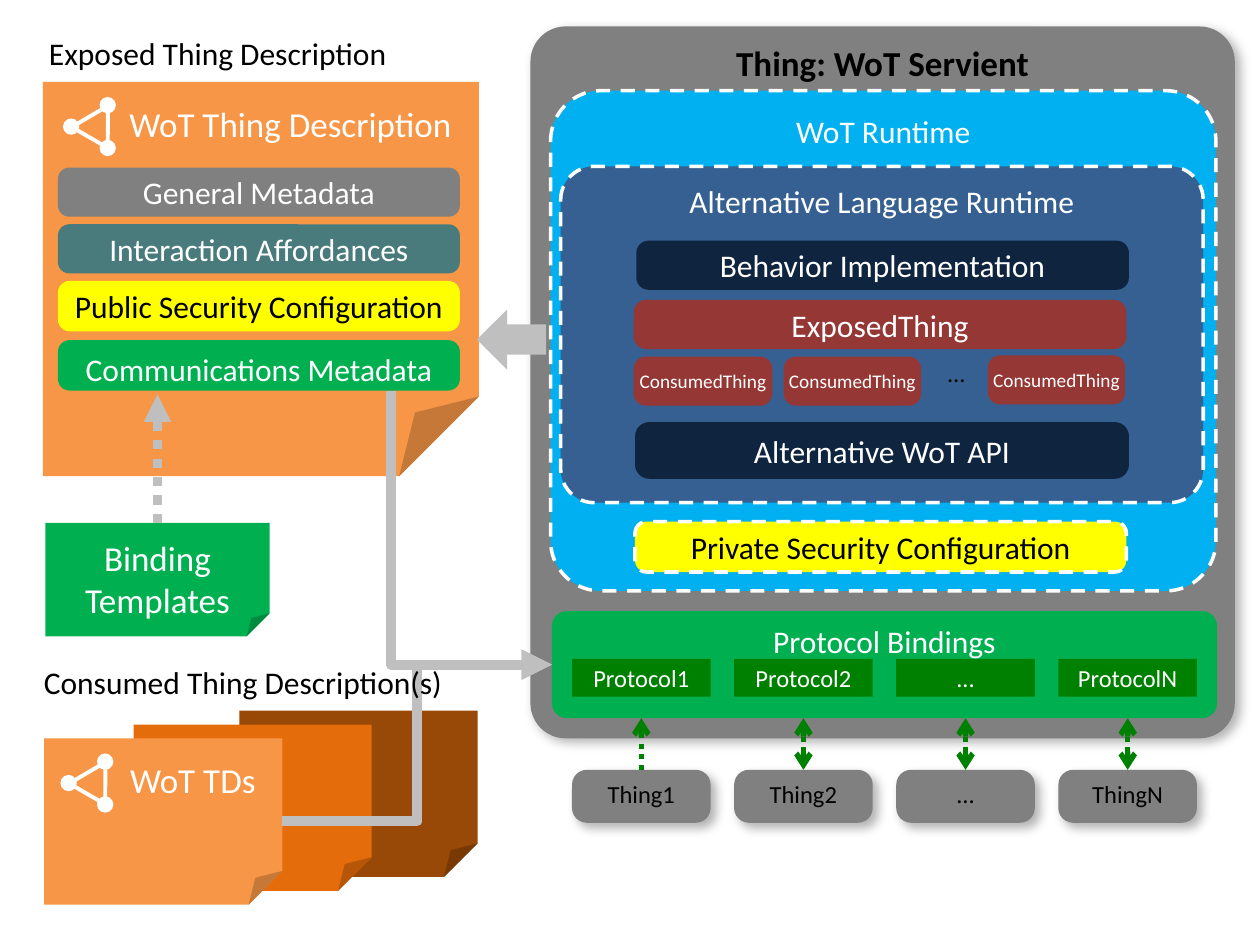
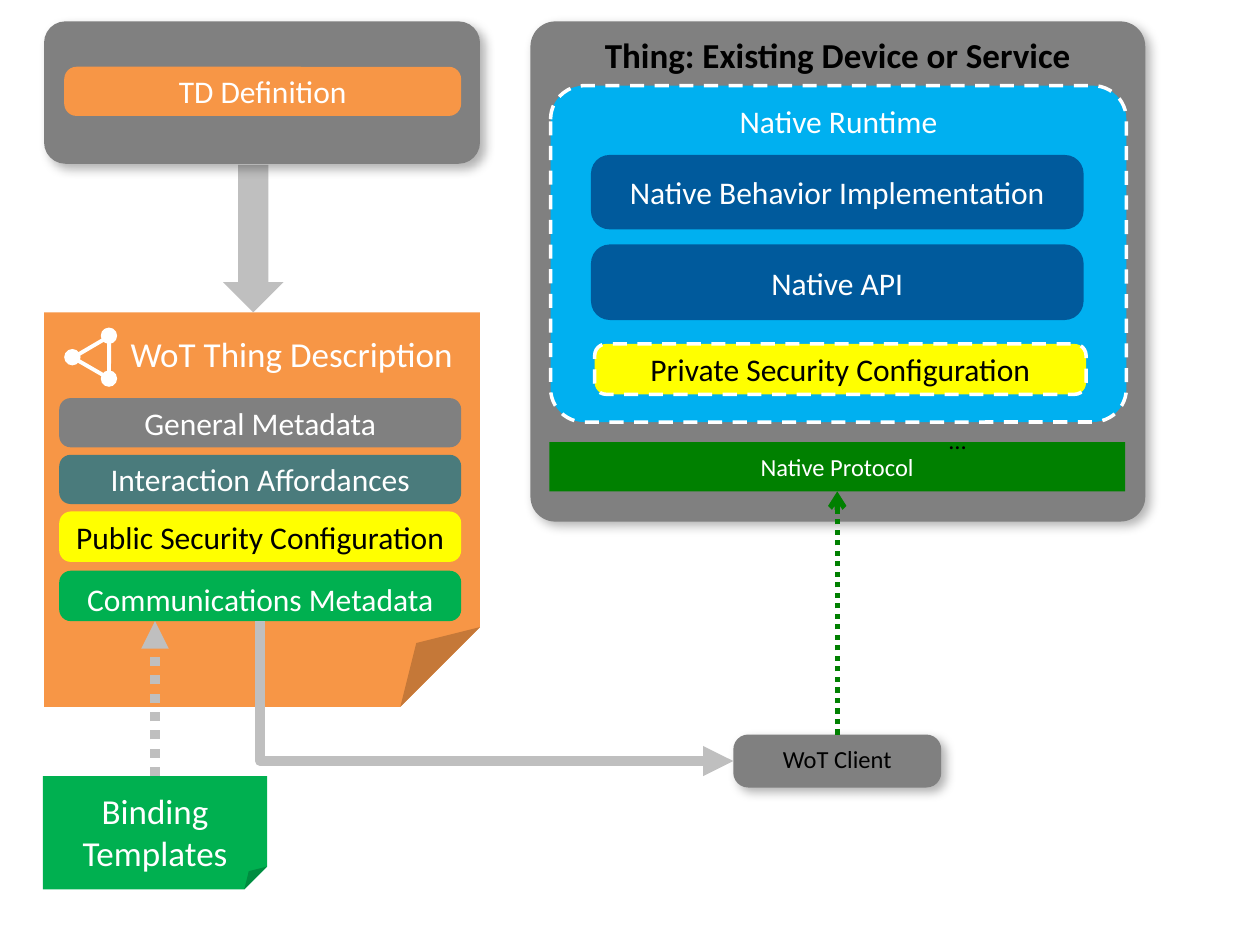
from dataclasses import dataclass

from lxml import etree
from pptx import Presentation
from pptx import util as u
from pptx.dml.color import RGBColor
from pptx.enum import dml, shapes, text
from pptx.oxml.ns import qn


@dataclass(frozen=True)
class Theme:
    font: str = "Calibri"
    title: float = 20
    body: float = 18
    label: float = 14
    small: float = 11
    black: str = "000000"
    white: str = "FFFFFF"
    gray: str = "808080"
    arrow: str = "BFBFBF"
    sky: str = "00B0F0"
    navy: str = "0F243E"
    steel: str = "376092"
    blue: str = "005A9C"
    red: str = "953735"
    green: str = "00B050"
    protocol: str = "008000"
    teal: str = "4A7B7C"
    yellow: str = "FFFF00"
    orange: str = "F79646"
    dark_orange: str = "E46C0A"
    brown: str = "984807"


THEME = Theme()
KIND = shapes.MSO_SHAPE
ANCHOR = text.MSO_ANCHOR

# Content: text, fill, text colour, offset from the top of the description, height, anchor
DESCRIPTION_PARTS = [
    ("General Metadata", THEME.gray, THEME.white, 0.68, 0.39, ANCHOR.MIDDLE),
    ("Interaction Affordances", THEME.teal, THEME.white, 1.13, 0.39, ANCHOR.MIDDLE),
    ("Public Security Configuration", THEME.yellow, THEME.black, 1.58, 0.40, ANCHOR.MIDDLE),
    ("Communications Metadata", THEME.green, THEME.white, 2.05, 0.40, ANCHOR.TOP),
]
# Protocol, thing, whether the exchange goes both ways
PROTOCOLS = [
    ("Protocol1", "Thing1", False),
    ("Protocol2", "Thing2", True),
    ("...", "…", True),
    ("ProtocolN", "ThingN", True),
]
# Text, fill, box, type size
SERVIENT_BARS = [
    ("Behavior Implementation", THEME.navy, (5.05, 1.91, 3.91, 0.39), THEME.body),
    ("ExposedThing", THEME.red, (5.03, 2.38, 3.91, 0.39), THEME.body),
    ("ConsumedThing", THEME.red, (5.03, 2.83, 1.10, 0.39), THEME.small),
    ("ConsumedThing", THEME.red, (6.22, 2.83, 1.09, 0.39), THEME.small),
    ("ConsumedThing", THEME.red, (7.84, 2.82, 1.09, 0.39), THEME.small),
    ("Alternative WoT API", THEME.navy, (5.04, 3.35, 3.92, 0.45), THEME.body),
]
CONSUMED_PAGES = [(1.90, 5.64, THEME.brown), (1.06, 5.75, THEME.dark_orange)]

DEFAULT_INSET = (0.1, 0.05, 0.1, 0.05)
PANEL_INSET = (0.1, 0.04, 0.1, 0.08)
PAGE_INSET = (0.47, 0.16, 0, 0)


def inches(values):
    return [u.Inches(value) for value in values]


def write_text(shape, content, size=THEME.body, color=THEME.white, bold=False,
               align=text.PP_ALIGN.CENTER, anchor=ANCHOR.MIDDLE, inset=DEFAULT_INSET):
    frame = shape.text_frame
    frame.word_wrap = False
    frame.vertical_anchor = anchor
    (frame.margin_left, frame.margin_top,
     frame.margin_right, frame.margin_bottom) = inches(inset)
    paragraph = frame.paragraphs[0]
    paragraph.text = content
    paragraph.alignment = align
    for run in paragraph.runs:
        run.font.name = THEME.font
        run.font.size = u.Pt(size)
        run.font.bold = bold
        run.font.color.rgb = RGBColor.from_string(color)


def add_shadow(shape):
    effects = shape.element.spPr.find(qn("a:effectLst"))
    outer = etree.SubElement(effects, qn("a:outerShdw"), blurRad=str(u.Pt(6)),
                             dist=str(u.Pt(4)), dir="2700000", algn="tl", rotWithShape="0")
    color = etree.SubElement(outer, qn("a:srgbClr"), val=THEME.black)
    etree.SubElement(color, qn("a:alpha"), val="30000")


def style_line(line, color, width, dash=None):
    line.color.rgb = RGBColor.from_string(color)
    line.width = u.Pt(width)
    if dash:
        line.dash_style = dash


def add_block(parent, kind, box, fill=None, content="", adjust=None, rotation=0,
              outline=None, dash=None, shadow=False, **format):
    shape = parent.shapes.add_shape(kind, *inches(box))
    shape.shadow.inherit = False
    shape.rotation = rotation
    if adjust is not None:
        shape.adjustments[0] = adjust
    if fill:
        shape.fill.solid()
        shape.fill.fore_color.rgb = RGBColor.from_string(fill)
    else:
        shape.fill.background()
    if outline:
        style_line(shape.line, THEME.white, outline, dash)
    else:
        shape.line.fill.background()
    if shadow:
        add_shadow(shape)
    if content:
        write_text(shape, content, **format)
    return shape


def add_bar(slide, content, fill, box, adjust=0.25, **format):
    return add_block(slide, KIND.ROUNDED_RECTANGLE, box, fill, content, adjust, **format)


def add_panel(slide, box, content="", adjust=0.05, **format):
    """Gray rounded panel with a shadow."""
    return add_bar(slide, content, THEME.gray, box, adjust, shadow=True,
                   color=THEME.black, inset=PANEL_INSET, **format)


def add_dashed(slide, content, fill, box, adjust=0.1, **format):
    return add_bar(slide, content, fill, box, adjust, outline=2,
                   dash=dml.MSO_LINE.DASH, **format)


def add_page(slide, box, fill, content="", **format):
    """Page with a folded corner, whose size python-pptx does not expose."""
    page = add_block(slide, KIND.FOLDED_CORNER, box, fill, content,
                     size=THEME.title, **format)
    geometry = page.element.spPr.find(qn("a:prstGeom"))
    guides = geometry.find(qn("a:avLst"))
    if guides is None:
        guides = etree.SubElement(geometry, qn("a:avLst"))
    etree.SubElement(guides, qn("a:gd"), name="adj", fmla="val 20200")
    return page


def add_ellipsis(slide, left, top):
    add_block(slide, KIND.ROUNDED_RECTANGLE, (left, top, 0.38, 0.42), content="…",
              size=THEME.label, color=THEME.black, inset=PANEL_INSET)


def add_arrow(slide, start, end, color=THEME.arrow, width=5.75, dash=None, head=None,
              tail="triangle", begin=None, finish=None, kind=shapes.MSO_CONNECTOR.STRAIGHT):
    """begin and finish are (shape, connection site) pairs to join."""
    connector = slide.shapes.add_connector(kind, *inches(start + end))
    if begin:
        connector.begin_connect(*begin)
    if finish:
        connector.end_connect(*finish)
    style_line(connector.line, color, width, dash)
    properties = connector._element.spPr
    outline = properties.find(qn("a:ln"))
    for tag, style in (("a:headEnd", head), ("a:tailEnd", tail)):
        if style:
            etree.SubElement(outline, qn(tag), type=style)
    etree.SubElement(properties, qn("a:effectLst"))
    return connector


def add_corner_arrow(slide, start, end, **format):
    """Arrow that runs down, then turns right once."""
    connector = add_arrow(slide, start, end, kind=shapes.MSO_CONNECTOR.ELBOW, **format)
    left, top, across, down = connector.left, connector.top, connector.width, connector.height
    connector.left = left + (across - down) // 2
    connector.top = top + (down - across) // 2
    connector.width, connector.height = down, across
    properties = connector._element.spPr
    frame = properties.find(qn("a:xfrm"))
    frame.set("rot", "16200000")
    frame.set("flipH", "1")
    properties.find(qn("a:prstGeom")).set("prst", "bentConnector2")


def add_protocol_arrow(slide, thing, start, end, both_ways=False, **format):
    add_arrow(slide, start, end, THEME.protocol, 3, dml.MSO_LINE.ROUND_DOT,
              head="arrow" if both_ways else None, tail="arrow", begin=(thing, 0), **format)


def add_share_icon(slide, left, top):
    group = slide.shapes.add_group_shape()
    add_block(group, KIND.ISOSCELES_TRIANGLE, (left + 0.12, top + 0.05, 0.33, 0.29),
              rotation=30, outline=2.25)
    for across, down in ((0.29, 0), (0, 0.17), (0.29, 0.34)):
        add_block(group, KIND.OVAL, (left + across, top + down, 0.13, 0.13), THEME.white)


def add_titled_page(slide, box, content, icon_offset):
    page = add_page(slide, box, THEME.orange, content, anchor=ANCHOR.TOP, inset=PAGE_INSET)
    add_share_icon(slide, box[0] + icon_offset, box[1] + 0.12)
    return page


def add_thing_description(slide, left, top):
    """Returns the communications bar, which is the last one."""
    add_titled_page(slide, (left, top, 3.46, 3.13), "WoT Thing Description", 0.16)
    for content, fill, color, offset, height, anchor in DESCRIPTION_PARTS:
        bar = add_bar(slide, content, fill, (left + 0.12, top + offset, 3.19, height),
                      0.23, color=color, anchor=anchor)
    return bar


def add_binding_templates(slide, left, top, target_top):
    page = add_page(slide, (left, top, 1.78, 0.9), THEME.green, "Binding\vTemplates",
                    inset=(0, 0.16, 0, 0))
    middle = left + 0.89
    add_arrow(slide, (middle, top), (middle, target_top), width=5.25,
              dash=dml.MSO_LINE.ROUND_DOT, begin=(page, 0))


def add_runtime_panel(slide, panel_box, title, runtime_box, runtime):
    add_panel(slide, panel_box, title, size=THEME.title, bold=True, anchor=ANCHOR.TOP)
    add_dashed(slide, runtime, THEME.sky, runtime_box, anchor=ANCHOR.TOP)


def add_private_security(slide, left, top):
    add_dashed(slide, "Private Security Configuration", THEME.yellow,
               (left, top, 3.9, 0.4), 0.23, color=THEME.black)


def add_caption(slide, content, box):
    caption = slide.shapes.add_textbox(*inches(box))
    write_text(caption, content, color=THEME.black, align=text.PP_ALIGN.LEFT,
               anchor=ANCHOR.TOP)
    caption.text_frame.auto_size = text.MSO_AUTO_SIZE.SHAPE_TO_FIT_TEXT


def add_protocol_bindings(slide):
    bindings = add_bar(slide, "Protocol Bindings", THEME.green, (4.38, 4.85, 5.28, 0.85),
                       0.14, anchor=ANCHOR.TOP)
    first, last, width = 4.54, 8.40, 1.1
    pitch = (last - first) / (len(PROTOCOLS) - 1)
    for index, (protocol, thing_name, both_ways) in enumerate(PROTOCOLS):
        left = first + index * pitch
        middle = left + width / 2
        add_block(slide, KIND.RECTANGLE, (left, 5.23, width, 0.3), THEME.protocol,
                  protocol, size=THEME.label)
        thing = add_panel(slide, (left, 6.11, width, 0.42), thing_name, 0.28,
                          size=THEME.label)
        add_protocol_arrow(slide, thing, (middle, 6.11), (middle, 5.7), both_ways)
    return bindings


def build_servient(slide):
    add_runtime_panel(slide, (4.21, 0.21, 5.59, 5.65), "Thing: WoT Servient",
                      (4.37, 0.72, 5.28, 3.97), "WoT Runtime")
    bindings = add_protocol_bindings(slide)
    for left, top, fill in CONSUMED_PAGES:
        add_page(slide, (left, top, 1.89, 1.32), fill)
    consumed = add_titled_page(slide, (0.35, 5.86, 1.89, 1.32), "WoT TDs", 0.13)
    add_arrow(slide, (2.24, 6.52), (4.38, 5.28), begin=(consumed, 3),
              finish=(bindings, 1), kind=shapes.MSO_CONNECTOR.ELBOW)
    add_thing_description(slide, 0.34, 0.65)
    add_block(slide, KIND.DOWN_ARROW, (3.82, 2.42, 0.48, 0.55), THEME.arrow, rotation=90)
    add_binding_templates(slide, 0.36, 4.15, 3.13)
    add_caption(slide, "Exposed Thing Description", (0.29, 0.22, 2.91, 0.4))
    add_caption(slide, "Consumed Thing Description(s)", (0.25, 5.21, 3.4, 0.4))
    add_corner_arrow(slide, (3.1, 3.1), (4.38, 5.28), finish=(bindings, 1))
    add_dashed(slide, "Alternative Language Runtime", THEME.steel,
               (4.45, 1.32, 5.1, 2.67), anchor=ANCHOR.TOP)
    for content, fill, box, size in SERVIENT_BARS:
        add_bar(slide, content, fill, box, size=size)
    add_ellipsis(slide, 7.4, 2.77)
    add_private_security(slide, 5.04, 4.14)


def build_existing_device(slide):
    add_runtime_panel(slide, (4.21, 0.17, 4.88, 3.97), "Thing: Existing Device or Service",
                      (4.37, 0.68, 4.57, 2.67), "Native Runtime")
    communications = add_thing_description(slide, 0.35, 2.48)
    add_block(slide, KIND.DOWN_ARROW, (1.77, 1.31, 0.48, 1.17), THEME.arrow)
    protocol = add_block(slide, KIND.RECTANGLE, (4.36, 3.51, 4.57, 0.39), THEME.protocol,
                         "Native Protocol", size=THEME.label)
    client = add_panel(slide, (5.82, 5.83, 1.65, 0.42), "WoT Client", 0.28,
                       size=THEME.label)
    add_protocol_arrow(slide, client, (6.65, 5.83), (6.65, 3.9), finish=(protocol, 2))
    add_binding_templates(slide, 0.34, 6.16, 4.93)
    add_panel(slide, (0.35, 0.17, 3.46, 1.13), adjust=0.15)
    add_bar(slide, "TD Definition", THEME.orange, (0.51, 0.53, 3.15, 0.39))
    add_corner_arrow(slide, (2.06, 4.93), (5.82, 6.04), begin=(communications, 2),
                     finish=(client, 1))
    add_bar(slide, "Native Behavior Implementation", THEME.blue, (4.69, 1.23, 3.91, 0.59))
    add_bar(slide, "Native API", THEME.blue, (4.69, 1.94, 3.91, 0.6),
            anchor=ANCHOR.BOTTOM, inset=(0.1, 0.05, 0.1, 0.1))
    add_ellipsis(slide, 7.41, 3.3)
    add_private_security(slide, 4.72, 2.73)


def main():
    presentation = Presentation()
    presentation.slide_width = u.Inches(10)
    presentation.slide_height = u.Inches(7.5)
    for build in (build_servient, build_existing_device):
        build(presentation.slides.add_slide(presentation.slide_layouts[6]))
    presentation.save("out.pptx")


if __name__ == "__main__":
    main()
